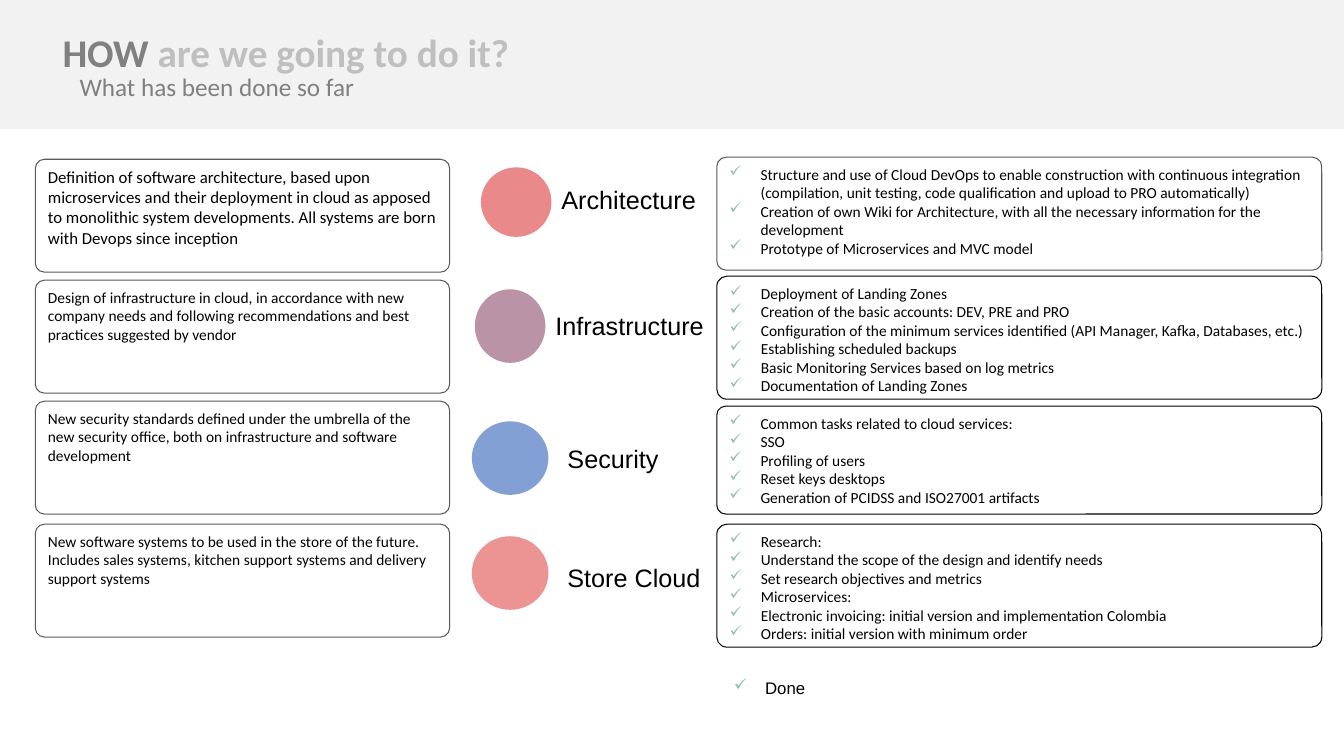
import dataclasses

import pptx
import pptx.dml.color
import pptx.enum.shapes
import pptx.enum.text
import pptx.oxml.ns
import pptx.util
from lxml import etree

Inches = pptx.util.Inches
Shapes = pptx.enum.shapes.MSO_SHAPE
Anchor = pptx.enum.text.MSO_ANCHOR
LEFT = pptx.enum.text.PP_ALIGN.LEFT


@dataclasses.dataclass(frozen=True)
class Theme:
    band: str = "F2F2F2"
    white: str = "FFFFFF"
    black: str = "000000"
    dark_gray: str = "808080"
    light_gray: str = "BFBFBF"
    border: str = "595959"
    check: str = "8FBBB4"
    body_font: str = "Calibri"
    label_font: str = "Arial"
    title_size: int = 28
    label_size: int = 18
    lead_size: int = 12
    body_size: int = 11


THEME = Theme()


@dataclasses.dataclass(frozen=True)
class Area:
    name: str
    goal: str
    goal_top: float
    goal_size: int
    circle: tuple
    color: str
    label: tuple
    tasks_top: float
    tasks_height: float
    tasks_border: str
    tasks: tuple


AREAS = (
    Area("Architecture",
         "Definition of software architecture, based upon microservices and their "
         "deployment in cloud as apposed to monolithic system developments. All "
         "systems are born with Devops since inception",
         1.58, THEME.lead_size, (4.77, 1.66, 0.7, 0.69), "EA8989",
         (5.47, 1.78, 1.71, 0.43), 1.56, 1.12, THEME.border,
         ("Structure and use of Cloud DevOps to enable construction with continuous "
          "integration (compilation, unit testing, code qualification and upload to "
          "PRO automatically)",
          "Creation of own Wiki for Architecture, with all the necessary information "
          "for the development",
          "Prototype of Microservices and MVC model")),
    Area("Infrastructure",
         "Design of infrastructure in cloud, in accordance with new company needs and "
         "following recommendations and best practices suggested by vendor",
         2.78, THEME.body_size, (4.71, 2.87, 0.7, 0.73), "BA93A6",
         (5.41, 2.97, 1.87, 0.56), 2.74, 1.22, THEME.black,
         ("Deployment of Landing Zones",
          "Creation of the basic accounts: DEV, PRE and PRO",
          "Configuration of the minimum services identified (API Manager, Kafka, "
          "Databases, etc.)",
          "Establishing scheduled backups",
          "Basic Monitoring Services based on log metrics",
          "Documentation of Landing Zones")),
    Area("Security",
         "New security standards defined under the umbrella of the new security "
         "office, both on infrastructure and software development",
         3.98, THEME.body_size, (4.68, 4.18, 0.76, 0.73), "83A0D5",
         (5.53, 4.37, 1.11, 0.4), 4.03, 1.07, THEME.black,
         ("Common tasks related to cloud services:",
          "SSO",
          "Profiling of users",
          "Reset keys desktops",
          "Generation of PCIDSS and ISO27001 artifacts")),
    Area("Store Cloud",
         "New software systems to be used in the store of the future. Includes sales "
         "systems, kitchen support systems and delivery support systems",
         5.2, THEME.body_size, (4.68, 5.32, 0.76, 0.73), "EC9393",
         (5.53, 5.55, 1.53, 0.4), 5.2, 1.22, THEME.black,
         ("Research:",
          "Understand the scope of the design and identify needs",
          "Set research objectives and metrics",
          "Microservices:",
          "Electronic invoicing: initial version and implementation Colombia",
          "Orders: initial version with minimum order")),
)


def rgb(color):
    return pptx.dml.color.RGBColor.from_string(color)


def style(font, name, size, color):
    font.name = name
    font.size = pptx.util.Pt(size)
    font.color.rgb = rgb(color)


def add_check(para):
    """Give a paragraph a hanging check mark."""
    properties = para._p.get_or_add_pPr()
    properties.set("marL", str(Inches(0.31)))
    properties.set("indent", str(-Inches(0.31)))
    qn = pptx.oxml.ns.qn
    bullet_color = etree.SubElement(properties, qn("a:buClr"))
    etree.SubElement(bullet_color, qn("a:srgbClr")).set("val", THEME.check)
    etree.SubElement(properties, qn("a:buChar")).set("char", "✓")


def write(box, lines, name, size, color=THEME.black, checks=False, spacing=1.0,
          anchor=Anchor.TOP, wrap=True):
    frame = box.text_frame
    frame.text = "\n".join(lines)
    frame.word_wrap = wrap
    frame.vertical_anchor = anchor
    for para in frame.paragraphs:
        para.alignment = LEFT
        para.line_spacing = spacing
        if checks:
            add_check(para)
        for span in para.runs:
            style(span.font, name, size, color)


def add_shape(page, kind, bounds, fill, border=None):
    shape = page.shapes.add_shape(kind, *map(Inches, bounds))
    shape.shadow.inherit = False
    shape.fill.solid()
    shape.fill.fore_color.rgb = rgb(fill)
    if border:
        shape.line.color.rgb = rgb(border)
        shape.line.width = pptx.util.Pt(0.75)
    else:
        shape.line.fill.background()
    return shape


def add_card(page, bounds, border, lines, size, checks=False):
    card = add_shape(page, Shapes.ROUNDED_RECTANGLE, bounds, THEME.white, border)
    card.adjustments[0] = 0.081
    write(card, lines, THEME.body_font, size, checks=checks)


def add_text(page, bounds, text, *args, **options):
    box = page.shapes.add_textbox(*map(Inches, bounds))
    write(box, [text], *args, **options)


def add_title(page):
    title = page.shapes.title
    title.left, title.top, title.width, title.height = map(Inches, (0.52, 0.2, 10.24, 0.69))
    frame = title.text_frame
    frame.auto_size = pptx.enum.text.MSO_AUTO_SIZE.NONE
    frame.vertical_anchor = Anchor.MIDDLE
    para = frame.paragraphs[0]
    para.alignment = LEFT
    para.line_spacing = 0.9
    for text, color in (("HOW ", THEME.dark_gray),
                        ("are we going to do it?", THEME.light_gray)):
        span = para.add_run()
        span.text = text
        style(span.font, THEME.body_font, THEME.title_size, color)
        span.font.bold = True


def add_area(page, area):
    add_card(page, (0.35, area.goal_top, 4.11, 1.12), THEME.border,
             [area.goal], area.goal_size)
    add_shape(page, Shapes.OVAL, area.circle, area.color)
    add_text(page, area.label, area.name, THEME.label_font, THEME.label_size,
             spacing=0.9, anchor=Anchor.MIDDLE, wrap=False)
    add_card(page, (7.11, area.tasks_top, 6, area.tasks_height), area.tasks_border,
             area.tasks, THEME.body_size, checks=True)


def main():
    deck = pptx.Presentation()
    deck.slide_width, deck.slide_height = Inches(13.33), Inches(7.5)
    page = deck.slides.add_slide(deck.slide_layouts.get_by_name("Title Only"))

    # Header: the band goes behind the title
    band = add_shape(page, Shapes.RECTANGLE, (0, -0.02, 13.33, 1.3), THEME.band)
    page.shapes.title._element.addprevious(band._element)
    add_title(page)
    add_text(page, (0.69, 0.66, 3.55, 0.43), "What has been done so far",
             THEME.body_font, THEME.label_size, THEME.dark_gray,
             spacing=0.9, anchor=Anchor.MIDDLE)

    # One row for each work area
    for area in AREAS:
        add_area(page, area)

    # Legend
    add_text(page, (7.18, 6.67, 0.92, 0.3), "Done", THEME.label_font,
             THEME.lead_size, checks=True, wrap=False)

    deck.save("out.pptx")


if __name__ == "__main__":
    main()
